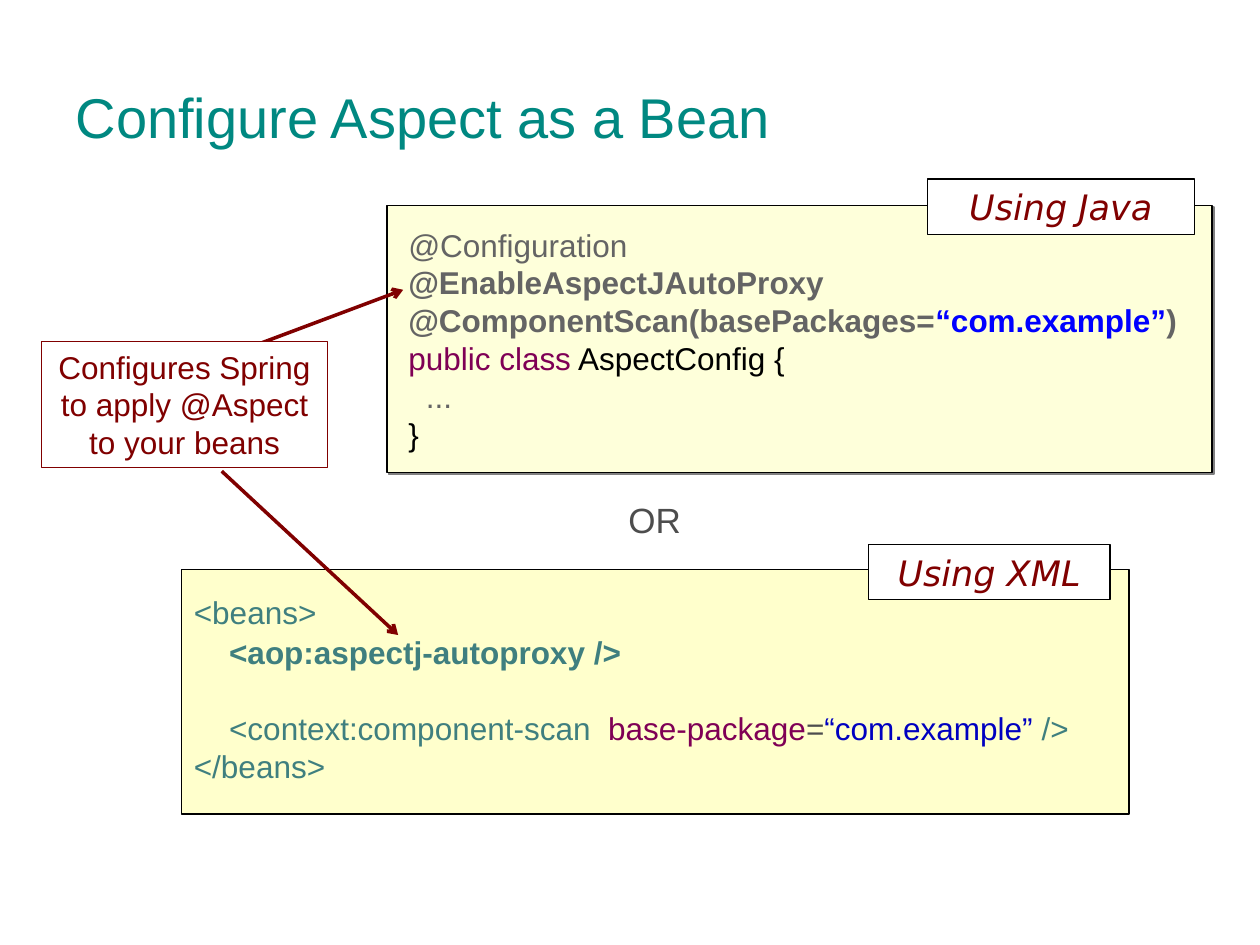
from dataclasses import dataclass

from lxml.etree import SubElement
from pptx import Presentation
from pptx.dml.color import RGBColor
from pptx.enum.shapes import MSO_CONNECTOR, MSO_SHAPE
from pptx.enum.text import MSO_ANCHOR, PP_ALIGN
from pptx.oxml.ns import qn
from pptx.util import Inches, Pt

COLS, ROWS = 100, 75


@dataclass(frozen=True)
class Theme:
    font: str = "Arial"
    label_font: str = "DejaVu Sans"
    title_size: int = 32
    label_size: int = 20
    code_size: int = 18
    title: str = "008881"
    accent: str = "800000"
    gray: str = "4D4D4D"
    annotation: str = "646464"
    keyword: str = "7F0055"
    java_string: str = "0000FF"
    xml_string: str = "0000C0"
    tag: str = "3F7F7F"
    black: str = "000000"
    white: str = "FFFFFF"
    java_panel: str = "FEFFDA"
    xml_panel: str = "FFFFCC"
    shadow: str = "808080"


def add_run(p, text, *, font, size, color, bold=False, italic=False, spacing=0):
    """Append a formatted run; spacing is extra points after each character."""
    r = p.add_run()
    r.text = text
    f = r.font
    f.name, f.size, f.bold, f.italic = font, Pt(size), bold, italic
    f.color.rgb = RGBColor.from_string(color)
    if spacing:
        r._r.get_or_add_rPr().set("spc", str(spacing * 100))


class SlideBuilder:
    def __init__(self, prs, theme):
        self.theme = theme
        self.col, self.row = prs.slide_width / COLS, prs.slide_height / ROWS
        self.s = prs.slides.add_slide(prs.slide_layouts[5])

    def place(self, x, y, w, h):
        """Turn grid columns and rows into slide lengths."""
        return (round(x * self.col), round(y * self.row),
                round(w * self.col), round(h * self.row))

    def title(self, text, box):
        sp = self.s.shapes.title
        sp.left, sp.top, sp.width, sp.height = self.place(*box)
        sp.text_frame.vertical_anchor = MSO_ANCHOR.MIDDLE
        p = sp.text_frame.paragraphs[0]
        p.alignment = PP_ALIGN.LEFT
        t = self.theme
        add_run(p, text, font=t.font, size=t.title_size, color=t.title)

    def rectangle(self, box, fill, line, weight):
        sp = self.s.shapes.add_shape(MSO_SHAPE.RECTANGLE, *self.place(*box))
        sp.shadow.inherit = False
        sp.fill.solid()
        sp.fill.fore_color.rgb = RGBColor.from_string(fill)
        sp.line.color.rgb = RGBColor.from_string(line)
        sp.line.width = Pt(weight)
        sp.text_frame.vertical_anchor = MSO_ANCHOR.MIDDLE
        return sp

    def code_panel(self, box, fill, lines, *, inset=0.1, leading=None, before=0):
        """Each line is (indent in inches, extra points before, runs)."""
        t = self.theme
        sp = self.rectangle(box, fill, t.black, 1)
        tf = sp.text_frame
        tf.word_wrap = True
        tf.margin_left = Inches(inset)
        for i, (indent, extra, runs) in enumerate(lines):
            p = tf.add_paragraph() if i else tf.paragraphs[0]
            p.alignment = PP_ALIGN.LEFT
            p.space_before = Pt(before + extra)
            if leading:
                p.line_spacing = leading[i]
            p._p.get_or_add_pPr().set("marL", str(Inches(indent)))
            for text, color, style in runs:
                add_run(p, text, font=t.font, size=t.code_size, color=color, **style)
        return sp

    def drop_shadow(self, sp):
        effects = sp._element.spPr.find(qn("a:effectLst"))
        shadow = SubElement(effects, qn("a:outerShdw"), dist=str(Pt(1.4)),
                            dir=str(45 * 60000), algn="ctr", rotWithShape="0")
        SubElement(shadow, qn("a:srgbClr"), val=self.theme.shadow)

    def centred(self, tf, lines, **style):
        tf.vertical_anchor = MSO_ANCHOR.MIDDLE
        tf.word_wrap = False
        for i, text in enumerate(lines):
            p = tf.add_paragraph() if i else tf.paragraphs[0]
            p.alignment = PP_ALIGN.CENTER
            add_run(p, text, **style)

    def label(self, text, box):
        t = self.theme
        sp = self.rectangle(box, t.white, t.black, 0.75)
        self.centred(sp.text_frame, [text], font=t.label_font,
                     size=t.label_size, color=t.accent, italic=True)

    def callout(self, lines, box):
        t = self.theme
        sp = self.rectangle(box, t.white, t.accent, 0.75)
        self.centred(sp.text_frame, lines, font=t.font, size=t.code_size,
                     color=t.accent)

    def caption(self, text, box):
        t = self.theme
        sp = self.s.shapes.add_textbox(*self.place(*box))
        self.centred(sp.text_frame, [text], font=t.font, size=t.label_size,
                     color=t.gray)

    def arrow(self, start, end):
        c = self.s.shapes.add_connector(MSO_CONNECTOR.STRAIGHT,
                                        *self.place(*start, *end))
        c.line.color.rgb = RGBColor.from_string(self.theme.accent)
        c.line.width = Pt(0)
        SubElement(c.line._get_or_add_ln(), qn("a:tailEnd"), type="arrow")
        SubElement(c._element.spPr, qn("a:effectLst"))


def main():
    prs = Presentation()
    prs.slide_width, prs.slide_height = Inches(10), Inches(7.5)
    t = Theme()
    b = SlideBuilder(prs, t)
    plain, bold = {}, {"bold": True}

    b.title("Configure Aspect as a Bean", (5, 3, 90, 12.5))

    xml_lines = [
        (0, 0, [("<beans>", t.tag, plain)]),
        (0.28, 0, [("<aop:aspectj-autoproxy />", t.tag, bold)]),
        (0.28, 21, [("<context:component-scan", t.tag, plain),
                    (" ", t.tag, {"spacing": 5}),
                    ("base-package", t.keyword, plain),
                    ("=", t.gray, plain),
                    ("“com.example” ", t.xml_string, plain),
                    ("/>", t.tag, plain)]),
        (0, 0, [("</beans>", t.tag, plain)]),
    ]
    b.code_panel((14.4, 45.2, 75.2, 19.4), t.xml_panel, xml_lines,
                 leading=(0.85, 0.85, 0.8, 0.8), before=4.5)

    java_lines = [
        (0, 0, [("@Configuration", t.annotation, plain)]),
        (0, 0, [("@EnableAspectJAutoProxy", t.annotation, bold)]),
        (0, 0, [("@ComponentScan(basePackages=", t.annotation, bold),
                ("“com.example”", t.java_string, bold),
                (")", t.annotation, bold)]),
        (0, 0, [("public class", t.keyword, plain),
                (" AspectConfig {", t.black, plain)]),
        (0.14, 0, [("...", t.annotation, plain)]),
        (0, 0, [("}", t.black, plain)]),
    ]
    java = b.code_panel((30.7, 16.3, 65.5, 21.2), t.java_panel, java_lines,
                        inset=0.17)
    b.drop_shadow(java)

    b.caption("OR", (48.5, 39, 6.9, 4.4))
    b.label("Using Java", (73.6, 14.2, 21.2, 4.4))
    b.label("Using XML", (68.9, 43.2, 19.2, 4.4))

    b.arrow((17.6, 37.4), (31.6, 50.4))
    b.arrow((17.6, 28.4), (32, 23))
    b.callout(["Configures Spring", "to apply @Aspect", "to your beans"],
              (3.3, 27.1, 22.7, 10))

    prs.save("out.pptx")


if __name__ == "__main__":
    main()
